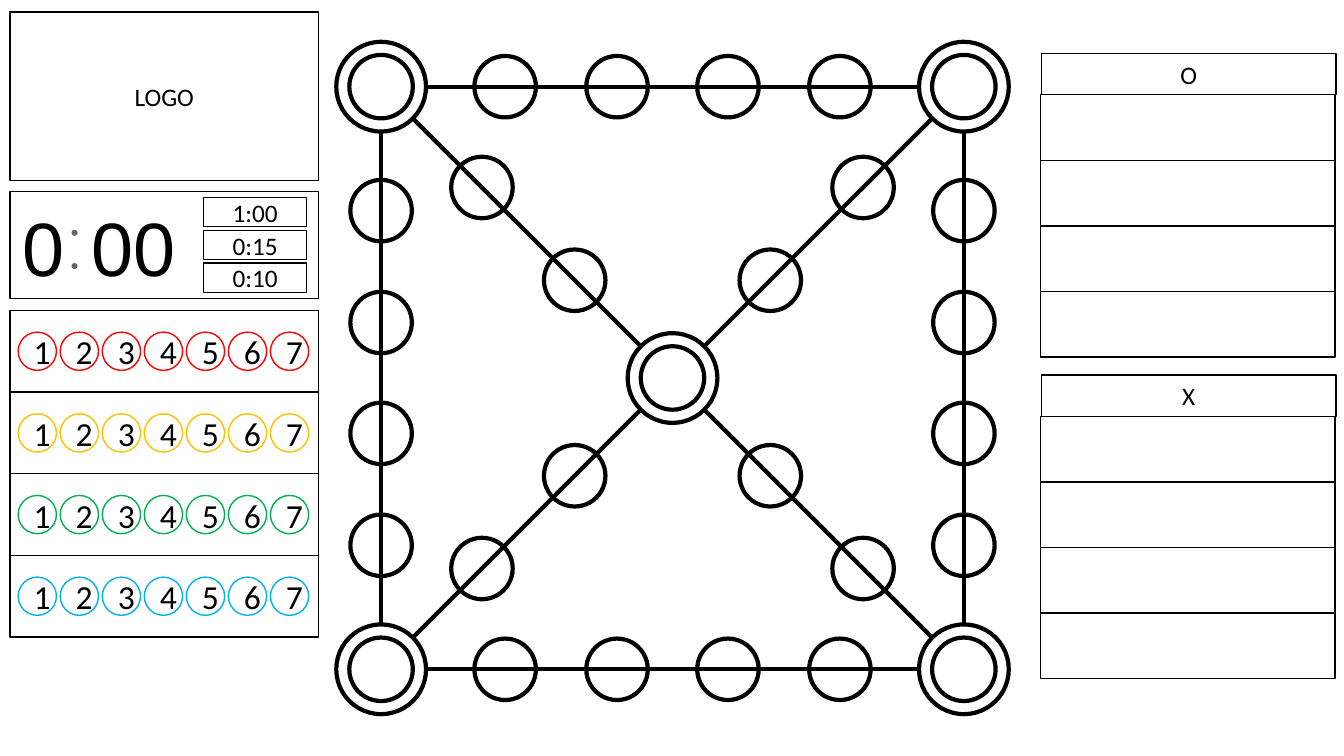
from itertools import product

from lxml import etree
from pptx import Presentation
from pptx.dml.color import RGBColor
from pptx.enum.shapes import MSO_CONNECTOR, MSO_SHAPE
from pptx.enum.text import MSO_ANCHOR, PP_ALIGN
from pptx.oxml.ns import qn
from pptx.util import Inches, Pt

RECT, OVAL = MSO_SHAPE.RECTANGLE, MSO_SHAPE.OVAL
STRAIGHT = MSO_CONNECTOR.STRAIGHT
MIDDLE, CENTER = MSO_ANCHOR.MIDDLE, PP_ALIGN.CENTER

BLACK, WHITE = "000000", "FFFFFF"
TEAM_COLORS = ("FF0000", "FFC000", "00B050", "00B0F0")
BOARD_LEFT, BOARD_TOP, BOARD_SIDE = 3.78, 0.86, 5.78
BOARD_LINE = 3
RING, STATION = 0.89, 0.61
HUB = 0.63
HALF = BOARD_SIDE / 2
EDGE_STEPS = (-1.66, -0.55, 0.55, 1.66)
DIAGONAL_STEPS = (0.97, 1.89)
PANEL_LEFT, PANEL_WIDTH = 0.1, 3.06
TEAM_TOP, TEAM_ROW = 3.08, 0.81
TOKEN, TOKEN_STEP = 0.38, 0.417
SCORE_LEFT, SCORE_WIDTH = 10.32, 2.92
SCORE_HEADER, SCORE_ROW = 0.41, 0.65


def color(value):
    return RGBColor.from_string(value)


def write(frame, text, size=18, font="Calibri", ink=BLACK):
    frame.word_wrap = True
    frame.vertical_anchor = MIDDLE
    paragraph = frame.paragraphs[0]
    paragraph.alignment = CENTER
    run = paragraph.add_run()
    run.text = text
    run.font.size = Pt(size)
    run.font.name = font
    run.font.color.rgb = color(ink)


def draw(shapes, kind, left, top, width, height, fill=None, line=BLACK, weight=1):
    drawn = shapes.add_shape(kind, Inches(left), Inches(top), Inches(width), Inches(height))
    drawn.shadow.inherit = False
    if fill:
        drawn.fill.solid()
        drawn.fill.fore_color.rgb = color(fill)
    else:
        drawn.fill.background()
    if line:
        drawn.line.color.rgb = color(line)
        drawn.line.width = Pt(weight)
    else:
        drawn.line.fill.background()
    return drawn


def circle(shapes, across, down, diameter, fill=None):
    left = BOARD_LEFT + HALF + across - diameter / 2
    top = BOARD_TOP + HALF + down - diameter / 2
    draw(shapes, OVAL, left, top, diameter, diameter, fill, weight=BOARD_LINE)


def diagonal(shapes, start_y, end_y):
    path_line = shapes.add_connector(
        STRAIGHT, Inches(BOARD_LEFT), Inches(start_y),
        Inches(BOARD_LEFT + BOARD_SIDE), Inches(end_y))
    path_line.line.color.rgb = color(BLACK)
    path_line.line.width = Pt(BOARD_LINE)
    etree.SubElement(path_line._element.spPr, qn("a:effectLst"))


def board(shapes):
    bottom = BOARD_TOP + BOARD_SIDE
    draw(shapes, RECT, BOARD_LEFT, BOARD_TOP, BOARD_SIDE, BOARD_SIDE, weight=BOARD_LINE)
    diagonal(shapes, BOARD_TOP, bottom)
    diagonal(shapes, bottom, BOARD_TOP)
    for across, down in [*product((-HALF, HALF), repeat=2), (0, 0)]:
        circle(shapes, across, down, RING, WHITE)
        circle(shapes, across, down, HUB)
    for side, step in product((-HALF, HALF), EDGE_STEPS):
        circle(shapes, side, step, STATION)
        circle(shapes, step, side, STATION)
    for step, across, down in product(DIAGONAL_STEPS, (-1, 1), (-1, 1)):
        circle(shapes, step * across, step * down, STATION)


def scorecard(shapes, top, team):
    header = draw(shapes, RECT, SCORE_LEFT + 0.01, top, SCORE_WIDTH, SCORE_HEADER)
    write(header.text_frame, team)
    for row in range(4):
        draw(shapes, RECT, SCORE_LEFT, top + SCORE_HEADER + row * SCORE_ROW,
             SCORE_WIDTH, SCORE_ROW)


def digits(shapes, text, left, top, width, height):
    box = shapes.add_textbox(Inches(left), Inches(top), Inches(width), Inches(height))
    write(box.text_frame, text, size=54, font="Arial")


def timer(shapes):
    draw(shapes, RECT, PANEL_LEFT, 1.9, PANEL_WIDTH, 1.06)
    digits(shapes, "0", 0.12, 2.01, 0.55, 0.87)
    digits(shapes, "00", 0.69, 1.99, 1.27, 0.9)
    colon = shapes.add_group_shape()
    for top in (2.28, 2.61):
        dot = draw(colon.shapes, OVAL, 0.71, top, 0.06, 0.06, BLACK, line=None)
        ink = dot._element.spPr.find(qn("a:solidFill"))[0]
        etree.SubElement(ink, qn("a:alpha"), val="60000")
    for row, preset in enumerate(("1:00", "0:15", "0:10")):
        button = draw(shapes, RECT, 2.02, 1.96 + row * 0.325, 1.02, 0.29, WHITE)
        write(button.text_frame, preset)


def team_tokens(shapes):
    for row, team_color in enumerate(TEAM_COLORS):
        top = TEAM_TOP + row * TEAM_ROW
        draw(shapes, RECT, PANEL_LEFT, top, PANEL_WIDTH, TEAM_ROW)
        for column in range(7):
            token = draw(shapes, OVAL, 0.18 + column * TOKEN_STEP,
                         top + (TEAM_ROW - TOKEN) / 2, TOKEN, TOKEN, WHITE, team_color)
            write(token.text_frame, str(column + 1), size=24)


def main():
    deck = Presentation()
    deck.slide_width, deck.slide_height = Inches(13.33), Inches(7.5)
    shapes = deck.slides.add_slide(deck.slide_layouts[6]).shapes
    board(shapes)
    scorecard(shapes, 0.53, "O")
    scorecard(shapes, 3.72, "X")
    logo = draw(shapes, RECT, PANEL_LEFT, 0.12, PANEL_WIDTH, 1.67)
    write(logo.text_frame, "LOGO")
    timer(shapes)
    team_tokens(shapes)
    deck.save("out.pptx")


if __name__ == "__main__":
    main()
